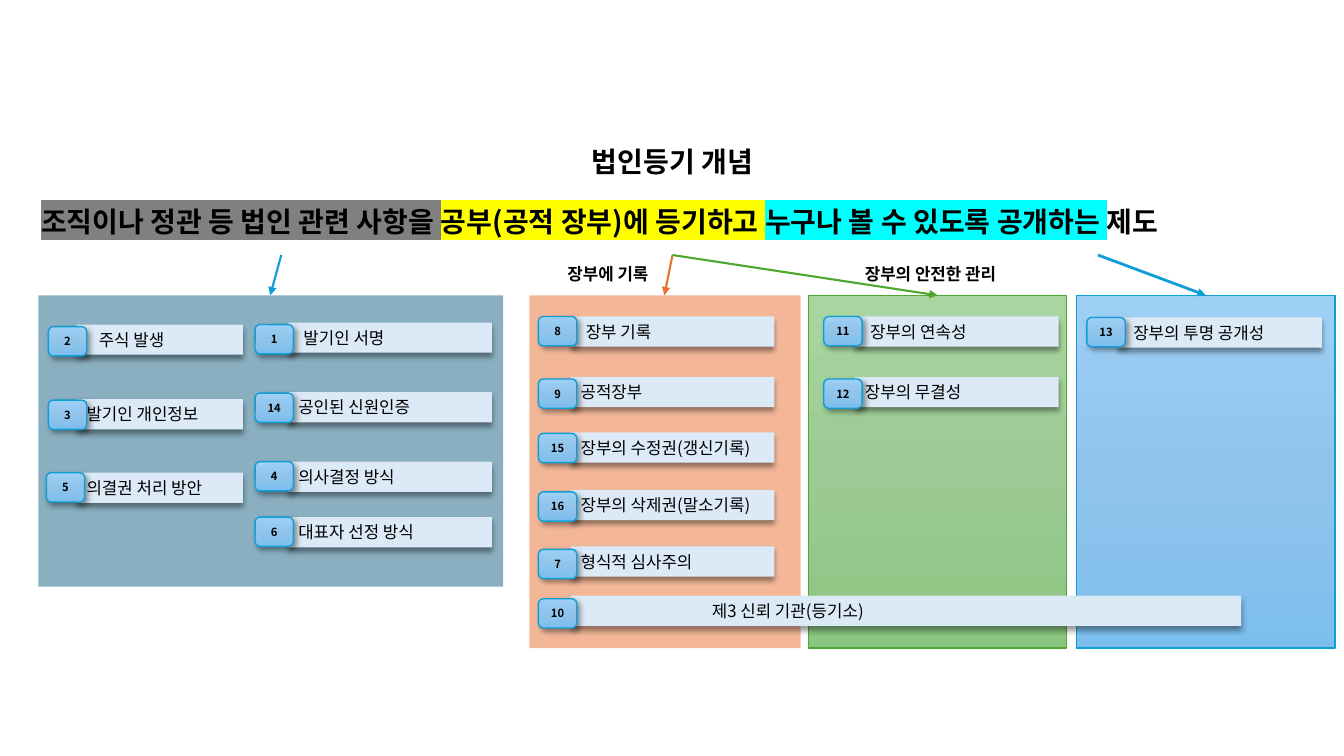
"""Build the slide explaining the concept of corporate registration."""
from copy import deepcopy

from lxml import etree
from pptx import Presentation
from pptx.dml.color import RGBColor
from pptx.enum.shapes import MSO_CONNECTOR, MSO_SHAPE
from pptx.enum.text import MSO_ANCHOR, PP_ALIGN
from pptx.oxml.ns import qn
from pptx.util import Inches, Pt

RECT, ROUNDED = MSO_SHAPE.RECTANGLE, MSO_SHAPE.ROUNDED_RECTANGLE
STRAIGHT = MSO_CONNECTOR.STRAIGHT
MIDDLE = MSO_ANCHOR.MIDDLE
LEFT, CENTER = PP_ALIGN.LEFT, PP_ALIGN.CENTER

FONT = "Noto Sans CJK KR"
BLACK = RGBColor(0x00, 0x00, 0x00)
BLUE = RGBColor(0x0F, 0x9E, 0xD5)
GREEN = RGBColor(0x4E, 0xA7, 0x2E)
ORANGE = RGBColor(0xE9, 0x71, 0x32)
TEAL = RGBColor(0x15, 0x60, 0x82)
PALE = RGBColor(0xDC, 0xEA, 0xF7)
BLUE_FADE = [RGBColor(0x9E, 0xCF, 0xF5), RGBColor(0x90, 0xC4, 0xEB), RGBColor(0x7C, 0xBE, 0xED)]
GREEN_FADE = [RGBColor(0xA8, 0xD5, 0xA0), RGBColor(0x9C, 0xCA, 0x94), RGBColor(0x8A, 0xC6, 0x80)]

TITLE = "법인등기 개념"
DEFINITION = [
    ("조직이나 정관 등 법인 관련 사항을 ", "808080"),
    ("공부(공적 장부)에 등기하고 ", "FFFF00"),
    ("누구나 볼 수 있도록 공개하는 ", "00FFFF"),
    ("제도", None),
]

# left, top, width, height, fade, border
FADED_PANELS = [
    (10.68, 2.93, 2.56, 3.5, BLUE_FADE, BLUE),
    (8.02, 2.93, 2.56, 3.5, GREEN_FADE, GREEN),
]
CLEAR_PANELS = [
    (5.25, 2.93, 2.69, 3.5, ORANGE),
    (0.38, 2.93, 4.61, 2.89, TEAL),
]

# badge left, label left, label width, rows of (number, text, indent, label top, badge top)
ITEM_GROUPS = [
    (2.53, 2.86, 2.02, [
        (1, "발기인 서명", 0.05, 3.2, 3.22),
        (14, "공인된 신원인증", 0, 3.89, 3.9),
        (4, "의사결정 방식", 0, 4.58, 4.58),
        (6, "대표자 선정 방식", 0, 5.13, 5.13),
    ]),
    (0.48, 0.76, 1.65, [
        (2, "주식 발생", 0.12, 3.22, 3.24),
        (3, "발기인 개인정보", 0, 3.96, 3.97),
    ]),
    (0.46, 0.76, 1.65, [(5, "의결권 처리 방안", 0, 4.69, 4.69)]),
    (5.34, 5.66, 2.02, [
        (8, "장부 기록", 0.05, 3.14, 3.14),
        (9, "공적장부", 0, 3.74, 3.76),
        (15, "장부의 수정권(갱신기록)", 0, 4.29, 4.3),
        (16, "장부의 삭제권(말소기록)", 0, 4.86, 4.88),
        (7, "형식적 심사주의", 0, 5.42, 5.45),
    ]),
    (5.34, 5.66, 6.65, [(10, "제3 신뢰 기관(등기소)", 1.3, 5.91, 5.94)]),
    (8.17, 8.48, 2.02, [
        (11, "장부의 연속성", 0.05, 3.14, 3.14),
        (12, "장부의 무결성", 0, 3.74, 3.76),
    ]),
    (10.78, 11.09, 2.02, [(13, "장부의 투명 공개성", 0.05, 3.15, 3.15)]),
]
LABEL_HEIGHT, BADGE_WIDTH, BADGE_HEIGHT = 0.3, 0.38, 0.29

CAPTIONS = [("장부에 기록", 5.53, 1.1), ("장부의 안전한 관리", 8.48, 1.67)]
CAPTION_TOP = 2.57

# start x, end x, colour, width
ARROWS = [
    (2.79, 2.68, BLUE, 1.5),
    (6.67, 6.59, ORANGE, 1.5),
    (6.67, 9.3, GREEN, 1.5),
    (10.89, 11.96, BLUE, 2),
]
ARROW_TOP, ARROW_BOTTOM = 2.53, 2.93


def style(paragraph, size, bold=False, align=LEFT):
    paragraph.alignment = align
    font = paragraph.font
    font.name, font.size, font.bold = FONT, Pt(size), bold
    font.color.rgb = BLACK
    defaults = paragraph._p.pPr.find(qn("a:defRPr"))
    etree.SubElement(defaults, qn("a:ea"), typeface=FONT)


def add_box(slide, kind, left, top, width, height, border=None):
    box = slide.shapes.add_shape(kind, Inches(left), Inches(top), Inches(width), Inches(height))
    box.shadow.inherit = False
    if border is None:
        box.line.fill.background()
    else:
        box.line.color.rgb = border
        box.line.width = Pt(1)
    return box


def fill_solid(box, color, alpha=None):
    box.fill.solid()
    box.fill.fore_color.rgb = color
    if alpha:
        tint = box._element.spPr.find(qn("a:solidFill"))[0]
        etree.SubElement(tint, qn("a:alpha"), val=str(alpha * 1000))


def fill_fade(box, colors):
    box.fill.gradient()
    box.fill.gradient_angle = 270
    stops = box._element.spPr.find(qn("a:gradFill")).find(qn("a:gsLst"))
    stops.insert(1, deepcopy(stops[0]))
    for stop, color, position in zip(box.fill.gradient_stops, colors, (0, 0.5, 1)):
        stop.color.rgb = color
        stop.position = position


def cast_shadow(box, angle):
    effects = box._element.spPr.find(qn("a:effectLst"))
    shadow = etree.SubElement(effects, qn("a:outerShdw"), blurRad=str(Pt(4)), dist=str(Pt(3)),
                              dir=str(angle * 60000), algn="t", rotWithShape="0")
    color = etree.SubElement(shadow, qn("a:srgbClr"), val="000000")
    etree.SubElement(color, qn("a:alpha"), val="40000")


def write(box, text, size, bold=False, align=LEFT, indent=0):
    frame = box.text_frame
    frame.vertical_anchor = MIDDLE
    frame.margin_left = Inches(0.1 + indent)
    frame.text = text
    style(frame.paragraphs[0], size, bold, align)


def add_heading(slide):
    heading = slide.shapes.add_textbox(Inches(0.31), Inches(1.38), Inches(12.72), Inches(1.17))
    frame = heading.text_frame
    frame.word_wrap = True
    frame.text = TITLE
    style(frame.paragraphs[0], 20, True, CENTER)
    definition = frame.add_paragraph()
    definition.space_before = Pt(19)
    style(definition, 20, True)
    for text, marker in DEFINITION:
        run = definition.add_run()
        run.text = text
        if marker:
            highlight = etree.SubElement(run._r.get_or_add_rPr(), qn("a:highlight"))
            etree.SubElement(highlight, qn("a:srgbClr"), val=marker)


def add_arrow(slide, start, end, color, width):
    arrow = slide.shapes.add_connector(STRAIGHT, Inches(start), Inches(ARROW_TOP),
                                       Inches(end), Inches(ARROW_BOTTOM))
    arrow.line.color.rgb = color
    arrow.line.width = Pt(width)
    properties = arrow._element.spPr
    etree.SubElement(properties.find(qn("a:ln")), qn("a:tailEnd"), type="triangle")
    etree.SubElement(properties, qn("a:effectLst"))


def main():
    deck = Presentation()
    deck.slide_width, deck.slide_height = Inches(13.33), Inches(7.5)
    slide = deck.slides.add_slide(deck.slide_layouts[6])

    for *place, fade, border in FADED_PANELS:
        fill_fade(add_box(slide, RECT, *place, border), fade)
    for *place, color in CLEAR_PANELS:
        fill_solid(add_box(slide, RECT, *place), color, 50)
    add_heading(slide)

    for badge_left, label_left, label_width, rows in ITEM_GROUPS:
        for number, text, indent, label_top, badge_top in rows:
            label = add_box(slide, RECT, label_left, label_top, label_width, LABEL_HEIGHT)
            fill_solid(label, PALE)
            cast_shadow(label, 90)
            write(label, text, 12, indent=indent)
            badge = add_box(slide, ROUNDED, badge_left, badge_top, BADGE_WIDTH, BADGE_HEIGHT, BLUE)
            fill_fade(badge, BLUE_FADE)
            cast_shadow(badge, 45)
            write(badge, str(number), 8, True, CENTER)

    for text, left, width in CAPTIONS:
        caption = slide.shapes.add_textbox(Inches(left), Inches(CAPTION_TOP), Inches(width), Inches(0.3))
        write(caption, text, 12, True)
    for arrow in ARROWS:
        add_arrow(slide, *arrow)
    deck.save("out.pptx")


if __name__ == "__main__":
    main()
